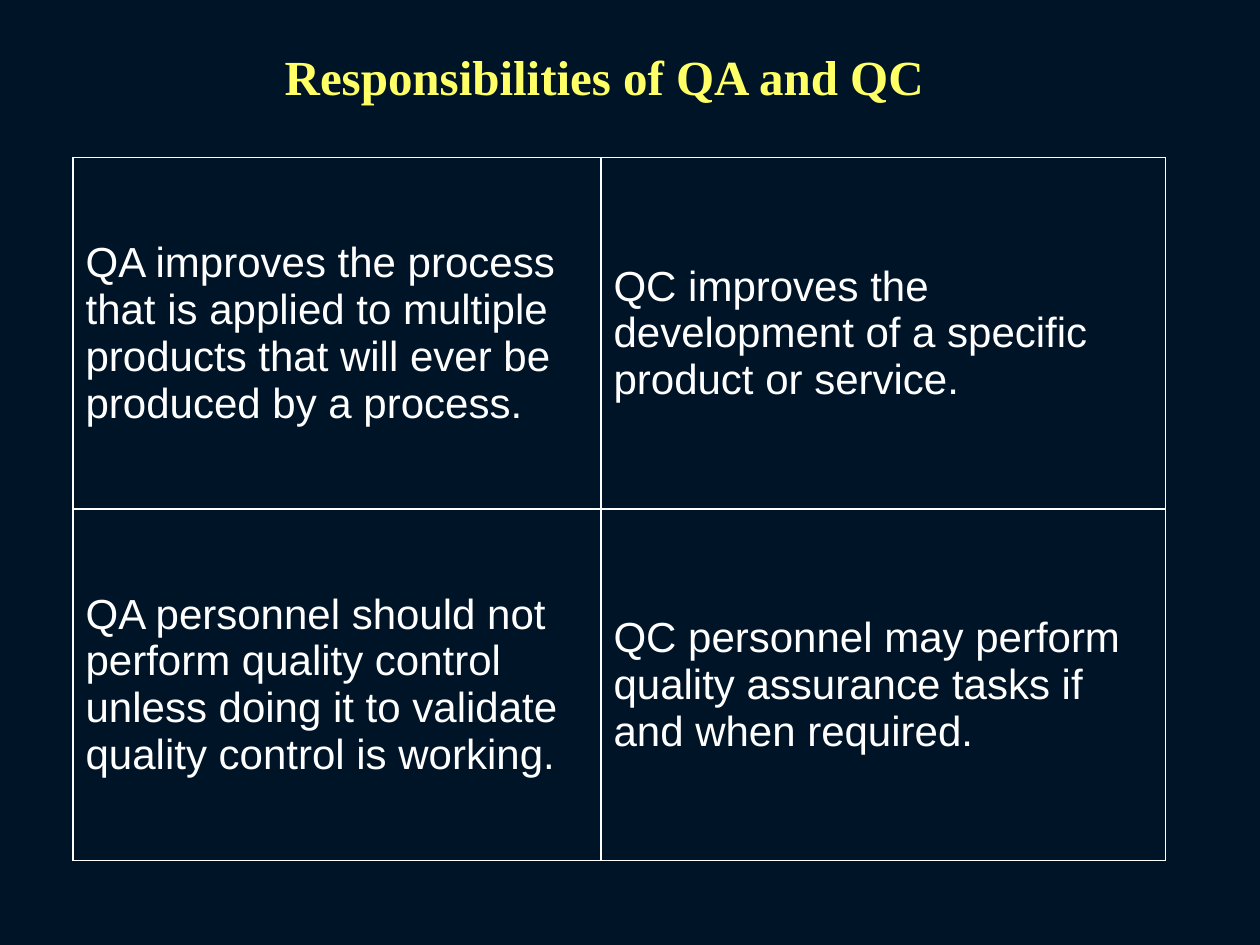
from dataclasses import dataclass

from lxml import etree
from pptx import Presentation
from pptx.dml.color import RGBColor
from pptx.enum import text
from pptx.oxml import ns
from pptx.util import Inches, Pt


@dataclass(frozen=True)
class Theme:
    background: str = "001428"
    title_color: str = "FFFF66"
    body_color: str = "FFFFFF"
    title_font: str = "Times New Roman"
    body_font: str = "Arial"
    title_size: int = 28
    body_size: int = 24
    border_width: int = 1


theme = Theme()


def add_span(para, words, font, size, color, bold=False):
    span = para.add_run()
    span.text = words
    span.font.name = font
    span.font.size = Pt(size)
    span.font.bold = bold
    span.font.color.rgb = RGBColor.from_string(color)


def add_borders(cell):
    properties = cell._tc.get_or_add_tcPr()
    for position, side in enumerate(("a:lnL", "a:lnR", "a:lnT", "a:lnB")):
        line = etree.Element(ns.qn(side), w=str(Pt(theme.border_width)))
        fill = etree.SubElement(line, ns.qn("a:solidFill"))
        etree.SubElement(fill, ns.qn("a:srgbClr"), val=theme.body_color)
        properties.insert(position, line)


# Slide and background
deck = Presentation()
deck.slide_width, deck.slide_height = Inches(10), Inches(7.5)
page = deck.slides.add_slide(deck.slide_layouts[5])
page.background.fill.solid()
page.background.fill.fore_color.rgb = RGBColor.from_string(theme.background)

# Title
title = page.shapes.title
title.left, title.top = Inches(2.11), Inches(0.32)
title.width, title.height = Inches(5.37), Inches(0.57)
frame = title.text_frame
frame.word_wrap = False
frame.auto_size = text.MSO_AUTO_SIZE.NONE
frame.vertical_anchor = text.MSO_ANCHOR.TOP
para = frame.paragraphs[0]
para.alignment = text.PP_ALIGN.CENTER
add_span(para, "Responsibilities of QA and QC",
         theme.title_font, theme.title_size, theme.title_color, bold=True)

# Responsibilities: QA in the left column, QC in the right
responsibilities = [
    ("QA improves the process that is applied to multiple products "
     "that will ever be produced by a process.",
     "QC improves the development of a specific product or service."),
    ("QA personnel should not perform quality control unless doing it "
     "to validate quality control is working.",
     "QC personnel may perform quality assurance tasks if and when required."),
]
column_widths = (4.19, 4.48)
row_height = 2.79

table = page.shapes.add_table(
    len(responsibilities), len(column_widths), Inches(0.58), Inches(1.25),
    Inches(sum(column_widths)), Inches(row_height * len(responsibilities))).table
table.first_row = table.horz_banding = False
for column, width in zip(table.columns, column_widths):
    column.width = Inches(width)

for row, statements in zip(table.rows, responsibilities):
    row.height = Inches(row_height)
    for cell, statement in zip(row.cells, statements):
        cell.fill.background()
        cell.vertical_anchor = text.MSO_ANCHOR.MIDDLE
        add_borders(cell)
        add_span(cell.text_frame.paragraphs[0], statement,
                 theme.body_font, theme.body_size, theme.body_color)

deck.save("out.pptx")
